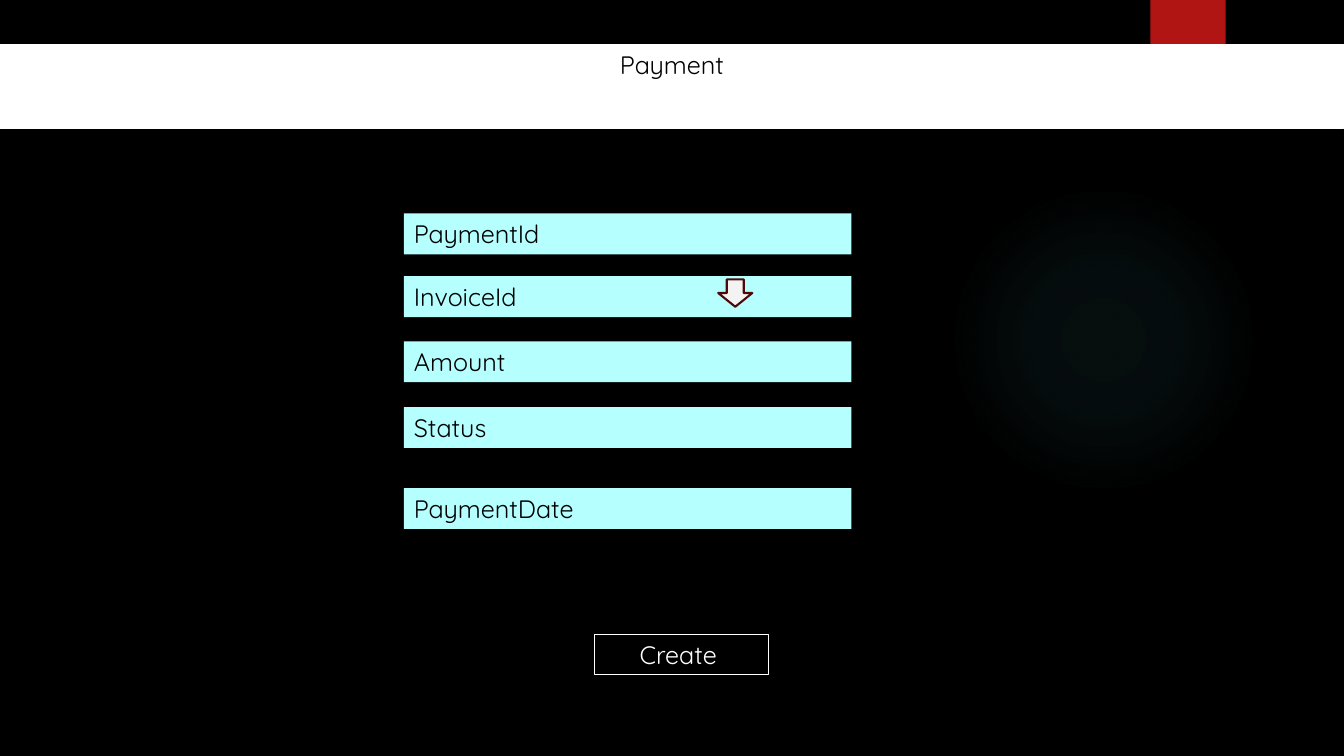
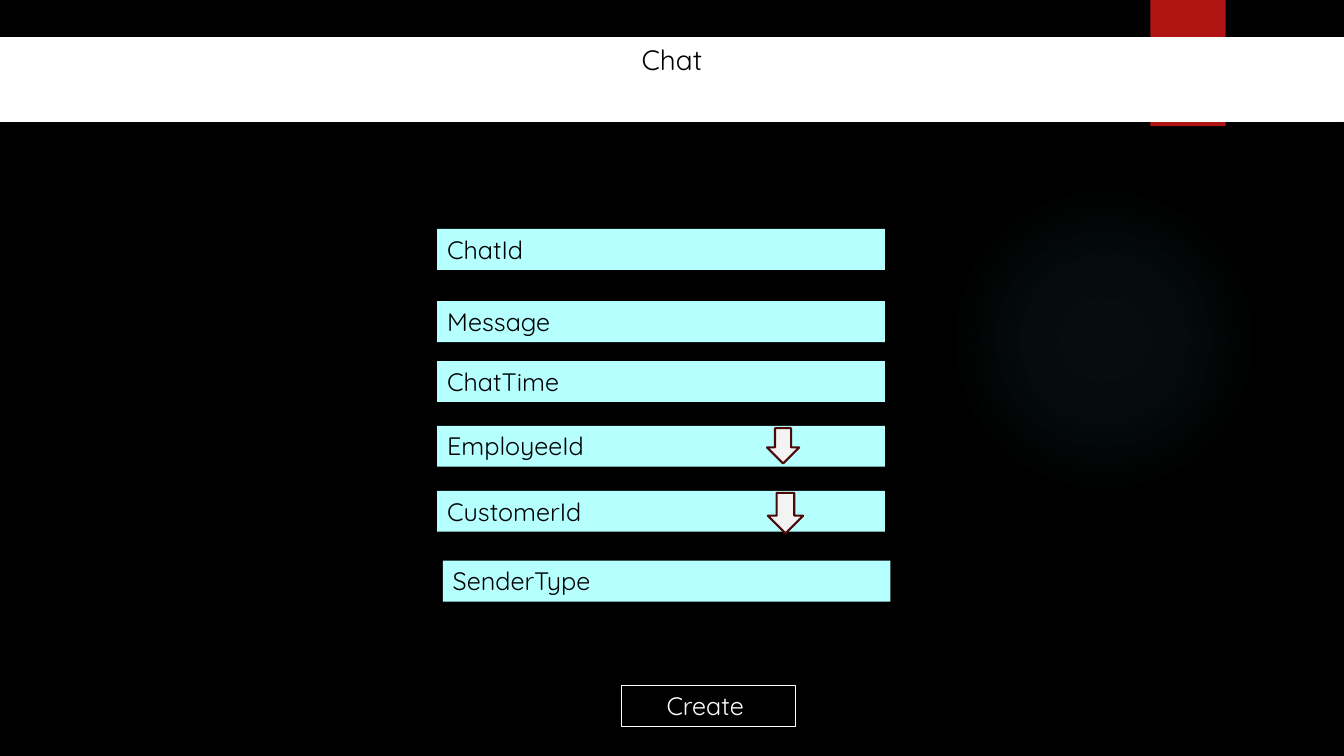
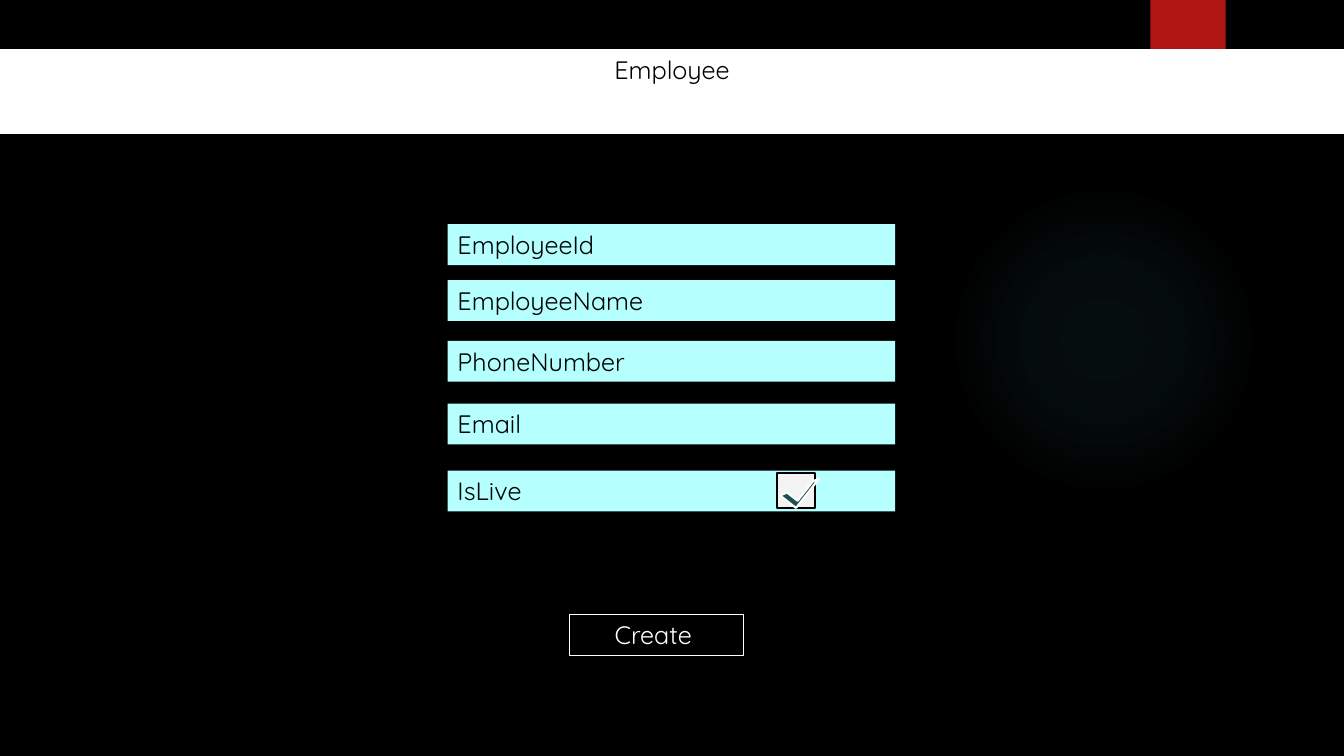
from dataclasses import dataclass

from pptx import Presentation
from pptx.dml.color import RGBColor
from pptx.enum.shapes import MSO_SHAPE as Preset
from pptx.enum.text import MSO_ANCHOR as Anchor, MSO_AUTO_SIZE as AutoSize, PP_ALIGN as Align
from pptx.oxml import parse_xml
from pptx.oxml.ns import nsdecls
from pptx.util import Cm, Pt


@dataclass(frozen=True)
class Theme:
    font: str = "Quicksand"
    text_size: float = 18
    large_size: float = 20
    hairline: float = 0.75
    outline: float = 1.5
    black: str = "000000"
    white: str = "FFFFFF"
    field: str = "B5FFFF"
    ribbon: str = "B01513"
    glow: str = "50B9C1"
    icon: str = "F3F3F3"
    arrow_edge: str = "4D0908"
    tick: str = "1E5155"


THEME = Theme()
SLIDE_W, SLIDE_H = 33.87, 19.05
FIELD_W, ROW_H = 11.28, 1.03
BUTTON_W = 4.4


def paint(shape, fill, line=None, width=THEME.hairline):
    shape.fill.solid()
    shape.fill.fore_color.rgb = RGBColor.from_string(fill)
    if line:
        shape.line.color.rgb = RGBColor.from_string(line)
        shape.line.width = Pt(width)
    else:
        shape.line.fill.background()


def add_preset(slide, preset, box, fill, line=None, width=THEME.hairline):
    shape = slide.shapes.add_shape(preset, *map(Cm, box))
    shape.shadow.inherit = False
    paint(shape, fill, line, width)
    return shape


def write(shape, text, size=THEME.text_size, color=THEME.black, align=Align.LEFT):
    frame = shape.text_frame
    frame.word_wrap = True
    frame.auto_size = AutoSize.SHAPE_TO_FIT_TEXT
    frame.vertical_anchor = Anchor.TOP
    paragraph = frame.paragraphs[0]
    paragraph.alignment = align
    run = paragraph.add_run()
    run.text = text
    run.font.name = THEME.font
    run.font.size = Pt(size)
    run.font.color.rgb = RGBColor.from_string(color)


def decorate_layout(layout, slide):
    layout.background.fill.solid()
    layout.background.fill.fore_color.rgb = RGBColor.from_string(THEME.black)
    for placeholder in list(layout.placeholders):
        if placeholder.placeholder_format.idx != 0:
            layout.shapes.element.remove(placeholder.element)

    glow = add_preset(slide, Preset.OVAL, (23.9, 4.65, 7.82, 7.82), THEME.glow)
    stops = "".join(
        f'<a:gs pos="{place * 1000}"><a:srgbClr val="{THEME.glow}">'
        f'<a:alpha val="{alpha * 1000}"/></a:srgbClr></a:gs>'
        for place, alpha in ((0, 7), (36, 6), (69, 0))
    )
    gradient = parse_xml(
        f'<a:gradFill {nsdecls("a")}><a:gsLst>{stops}</a:gsLst><a:path path="circle">'
        '<a:fillToRect l="50000" t="50000" r="50000" b="50000"/></a:path></a:gradFill>'
    )
    properties = glow.element.spPr
    properties.replace(properties.find("{*}solidFill"), gradient)

    ribbon = add_preset(slide, Preset.RECTANGLE, (28.99, 0, 1.9, 3.18), THEME.ribbon)
    ribbon.element.spPr.find("{*}effectLst").append(parse_xml(
        f'<a:outerShdw {nsdecls("a")} blurRad="{Pt(3)}" dist="{Pt(2)}" dir="5400000">'
        f'<a:srgbClr val="{THEME.black}"><a:alpha val="45000"/></a:srgbClr></a:outerShdw>'
    ))
    for decoration in (glow, ribbon):
        layout.shapes.element.append(decoration.element)


def place_title(slide, text, top, height=ROW_H, size=THEME.text_size):
    title = slide.shapes.title
    title.left, title.top, title.width, title.height = map(Cm, (0, top, SLIDE_W, height))
    paint(title, THEME.white, THEME.white)
    write(title, text, size=size, align=Align.CENTER)


def add_field(slide, label, left, top):
    field = add_preset(slide, Preset.RECTANGLE, (left, top, FIELD_W, ROW_H), THEME.field)
    write(field, label)


def add_dropdown_arrow(slide, left, top, dx, dy, width, height):
    add_preset(slide, Preset.DOWN_ARROW, (left + dx, top + dy, width, height),
               THEME.icon, THEME.arrow_edge, THEME.outline)


def add_checkbox(slide, left, top, dx, dy, width, height):
    left, top = left + dx, top + dy
    add_preset(slide, Preset.RECTANGLE, (left, top, width, height),
               THEME.icon, THEME.black, THEME.outline)
    tick = add_preset(slide, Preset.HALF_FRAME, (left + 0.1, top + 0.1, 0.94, 0.51),
                      THEME.tick, THEME.white, THEME.outline)
    tick.adjustments[0], tick.adjustments[1] = 0.16, 0.33
    tick.element.spPr.xfrm.set("flipV", "1")
    tick.rotation = 308.2


def add_button(slide, left, top):
    button = add_preset(slide, Preset.RECTANGLE, (left, top, BUTTON_W, ROW_H),
                        THEME.black, THEME.white)
    write(button, "Create ", color=THEME.white, align=Align.CENTER)


def build_form(slide, title, left, fields, button, controls=(), shifts=()):
    place_title(slide, **title)
    shifts = dict(shifts)
    for label, top in fields.items():
        add_field(slide, label, left + shifts.get(label, 0), top)
    for label, add_control, box in controls:
        add_control(slide, left, fields[label], *box)
    add_button(slide, *button)


FORMS = (
    dict(
        title=dict(text="Payment", top=1.12),
        left=10.18,
        fields={"PaymentId": 5.38, "InvoiceId": 6.96, "Amount": 8.6,
                "Status": 10.26, "PaymentDate": 12.3},
        controls=[("InvoiceId", add_dropdown_arrow, (7.92, 0.08, 0.86, 0.69))],
        button=(14.98, 15.98),
    ),
    dict(
        title=dict(text="Chat", top=0.94, height=1.12, size=THEME.large_size),
        left=11.02,
        fields={"ChatId": 5.77, "Message": 7.59, "ChatTime": 9.1,
                "EmployeeId": 10.73, "CustomerId": 12.37, "SenderType": 14.13},
        shifts={"SenderType": 0.14},
        controls=[("CustomerId", add_dropdown_arrow, (8.33, 0.05, 0.89, 1.02)),
                  ("EmployeeId", add_dropdown_arrow, (8.31, 0.06, 0.81, 0.89))],
        button=(15.66, 17.28),
    ),
    dict(
        title=dict(text="Employee", top=1.24),
        left=11.28,
        fields={"EmployeeId": 5.65, "EmployeeName": 7.06, "PhoneNumber": 8.59,
                "Email": 10.17, "IsLive": 11.86},
        controls=[("IsLive", add_checkbox, (8.3, 0.06, 0.97, 0.89))],
        button=(14.35, 15.48),
    ),
)


def main():
    deck = Presentation()
    deck.slide_width, deck.slide_height = Cm(SLIDE_W), Cm(SLIDE_H)
    layout = deck.slide_layouts.get_by_name("Title Only")
    slides = [deck.slides.add_slide(layout) for _ in FORMS]
    decorate_layout(layout, slides[0])
    for slide, form in zip(slides, FORMS):
        build_form(slide, **form)
    deck.save("out.pptx")


if __name__ == "__main__":
    main()
